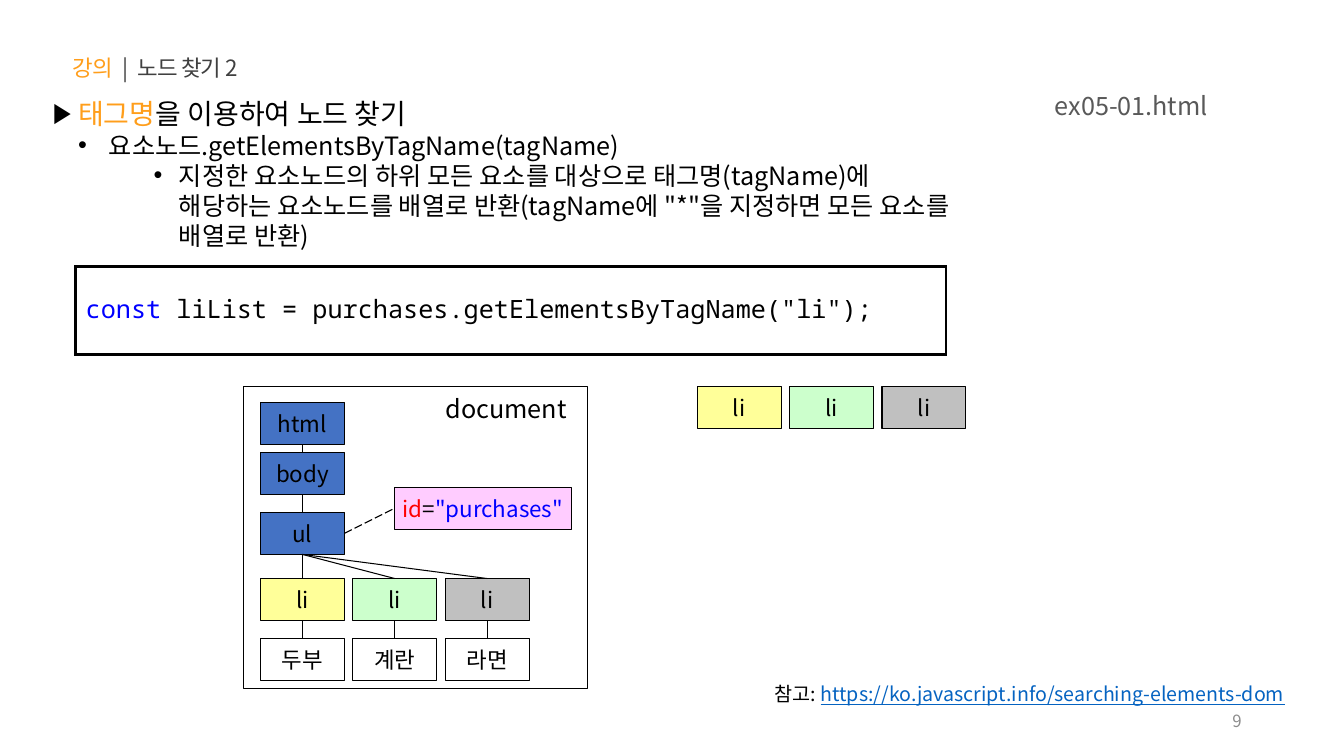
from lxml.etree import SubElement
from pptx import Presentation
from pptx.dml.color import RGBColor
from pptx.enum.dml import MSO_LINE
from pptx.enum.shapes import MSO_CONNECTOR, MSO_SHAPE
from pptx.enum.text import MSO_ANCHOR, PP_ALIGN
from pptx.oxml.ns import qn
from pptx.util import Pt

PX = 9525  # 96 px to the inch
SANS, MONO = "Noto Sans CJK KR", "Noto Sans Mono"
BLACK, ORANGE, BLUE = "000000", "FF9E1B", "0000FF"
NODE, YELLOW, GREEN, GRAY = "4472C4", "FFFF99", "CCFFCC", "C0C0C0"
color = RGBColor.from_string


def add_runs(paragraph, runs, size, align=PP_ALIGN.LEFT, font=SANS):
    """Add (text, colour) runs with a line height of 1.2 em."""
    paragraph.alignment = align
    paragraph.line_spacing = Pt(size * 1.2)
    for text, tint in runs:
        run = paragraph.add_run()
        run.text = text
        run.font.size = Pt(size)
        run.font.name = font
        run.font.color.rgb = color(tint)
        SubElement(run.font._element, qn("a:ea"), typeface=font)


def add_box(left, top, width, height, fill, runs):
    """Add an outlined rectangle with centred text."""
    shape = slide.shapes.add_shape(
        MSO_SHAPE.RECTANGLE, left * PX, top * PX, width * PX, height * PX)
    shape.shadow.inherit = False
    if fill:
        shape.fill.solid()
        shape.fill.fore_color.rgb = color(fill)
    else:
        shape.fill.background()
    shape.line.color.rgb = color(BLACK)
    shape.line.width = Pt(0.75)
    shape.text_frame.word_wrap = False
    shape.text_frame.vertical_anchor = MSO_ANCHOR.MIDDLE
    add_runs(shape.text_frame.paragraphs[0], runs, 16, PP_ALIGN.CENTER)
    return shape


presentation = Presentation()
presentation.slide_width = 1280 * PX
presentation.slide_height = 720 * PX
slide = presentation.slides.add_slide(presentation.slide_layouts[6])

# Single-line texts: left, top, width, height, size, alignment, runs
labels = [
    (60, 46, 494, 36, 16, PP_ALIGN.LEFT,
     [("강의", ORANGE), (" ", ORANGE), ("|", "404040"), (" ", "404040"),
      ("노드 찾기 2", "404040")]),
    (904, 667, 288, 38, 12, PP_ALIGN.RIGHT, [("9", "8C8C8C")]),
    (415, 370, 141, 38, 18, PP_ALIGN.LEFT, [("document", BLACK)]),
    (776, 81, 384, 38, 18, PP_ALIGN.RIGHT, [("ex05-01.html", "595959")]),
    (698, 644, 535, 33, 14, PP_ALIGN.RIGHT,
     [("참고: ", BLACK),
      ("https://ko.javascript.info/searching-elements-dom", "0563C1")]),
]
for left, top, width, height, size, align, runs in labels:
    label = slide.shapes.add_textbox(left * PX, top * PX, width * PX, height * PX)
    label.text_frame.word_wrap = True
    label.text_frame.vertical_anchor = MSO_ANCHOR.MIDDLE
    add_runs(label.text_frame.paragraphs[0], runs, size, align)
    for run in label.text_frame.paragraphs[0].runs:
        run.font.underline = True if run.text.startswith("https") else None
        if size == 16:  # the heading is set tight, with wide gaps at the bar
            run.font._element.set("spc", "300" if run.text == " " else "-60")

# Explanation: level, left margin, hanging indent, bullet, size, runs
points = [
    (0, 18, 18, "▶", 20,
     [(" ", BLACK), ("태그명", ORANGE), ("을 이용하여 노드 찾기", BLACK)]),
    (1, 48, 24, "•", 18, [(" 요소노드.getElementsByTagName(tagName)", BLACK)]),
    (2, 120, 24, "•", 18,
     [("지정한 요소노드의 하위 모든 요소를 대상으로 태그명(tagName)에 "
       "해당하는 요소노드를 배열로 반환(tagName에 \"*\"을 지정하면 모든 "
       "요소를 배열로 반환)", BLACK)]),
]
explanation = slide.shapes.add_textbox(41 * PX, 87 * PX, 877 * PX, 157 * PX)
explanation.text_frame.word_wrap = True
for level, margin, hanging, bullet, size, runs in points:
    frame = explanation.text_frame
    paragraph = frame.add_paragraph() if level else frame.paragraphs[0]
    paragraph.level = level
    add_runs(paragraph, runs, size)
    properties = paragraph._p.get_or_add_pPr()
    properties.set("marL", str(margin * PX))
    properties.set("indent", str(-hanging * PX))
    SubElement(properties, qn("a:buFont"), typeface="Arial")
    SubElement(properties, qn("a:buChar"), char=bullet)

# Code line in a one-cell table
table = slide.shapes.add_table(1, 1, 72 * PX, 254 * PX, 829 * PX, 84 * PX).table
table.first_row = False
table.horz_banding = False
cell = table.cell(0, 0)
cell.vertical_anchor = MSO_ANCHOR.MIDDLE
add_runs(cell.text_frame.paragraphs[0],
         [("const", BLUE),
          (" liList = purchases.getElementsByTagName(\"li\");", BLACK)],
         18, font=MONO)
cell_properties = cell._tc.get_or_add_tcPr()
for side in ("lnL", "lnR", "lnT", "lnB"):
    border = SubElement(cell_properties, qn("a:" + side), w=str(Pt(2.25)))
    border_fill = SubElement(border, qn("a:solidFill"))
    SubElement(border_fill, qn("a:srgbClr"), val=BLACK)
cell.fill.background()

# Document tree: frame, trunk, attribute and three branches
add_box(232, 368, 328, 288, None, [])
html, body, ul = [
    add_box(248, top, 80, 40, NODE, [(name, BLACK)])
    for name, top in (("html", 383), ("body", 431), ("ul", 488))]
attribute = add_box(376, 464, 168, 40, "FFCCFF",
                    [("id", "FF0000"), ("=", BLACK), ("\"purchases\"", BLUE)])

# Joins: start shape, start side, end shape, end side
joins = [(html, 2, body, 0), (body, 2, ul, 0), (ul, 3, attribute, 1)]
branches = [("두부", YELLOW), ("계란", GREEN), ("라면", GRAY)]
for index, (item, fill) in enumerate(branches):
    offset = index * 88
    add_box(664 + offset, 368, 80, 40, fill, [("li", BLACK)])  # result list
    li = add_box(248 + offset, 551, 80, 40, fill, [("li", BLACK)])
    leaf = add_box(248 + offset, 608, 80, 40, "FFFFFF", [(item, BLACK)])
    joins += [(ul, 2, li, 0), (li, 2, leaf, 0)]

for start, start_side, end, end_side in joins:
    connector = slide.shapes.add_connector(MSO_CONNECTOR.STRAIGHT, 0, 0, 0, 0)
    connector.begin_connect(start, start_side)
    connector.end_connect(end, end_side)
    connector.line.color.rgb = color(BLACK)
    connector.line.width = Pt(0.75)
    if end is attribute:
        connector.line.dash_style = MSO_LINE.LONG_DASH
    SubElement(connector._element.spPr, qn("a:effectLst"))

presentation.save("out.pptx")
